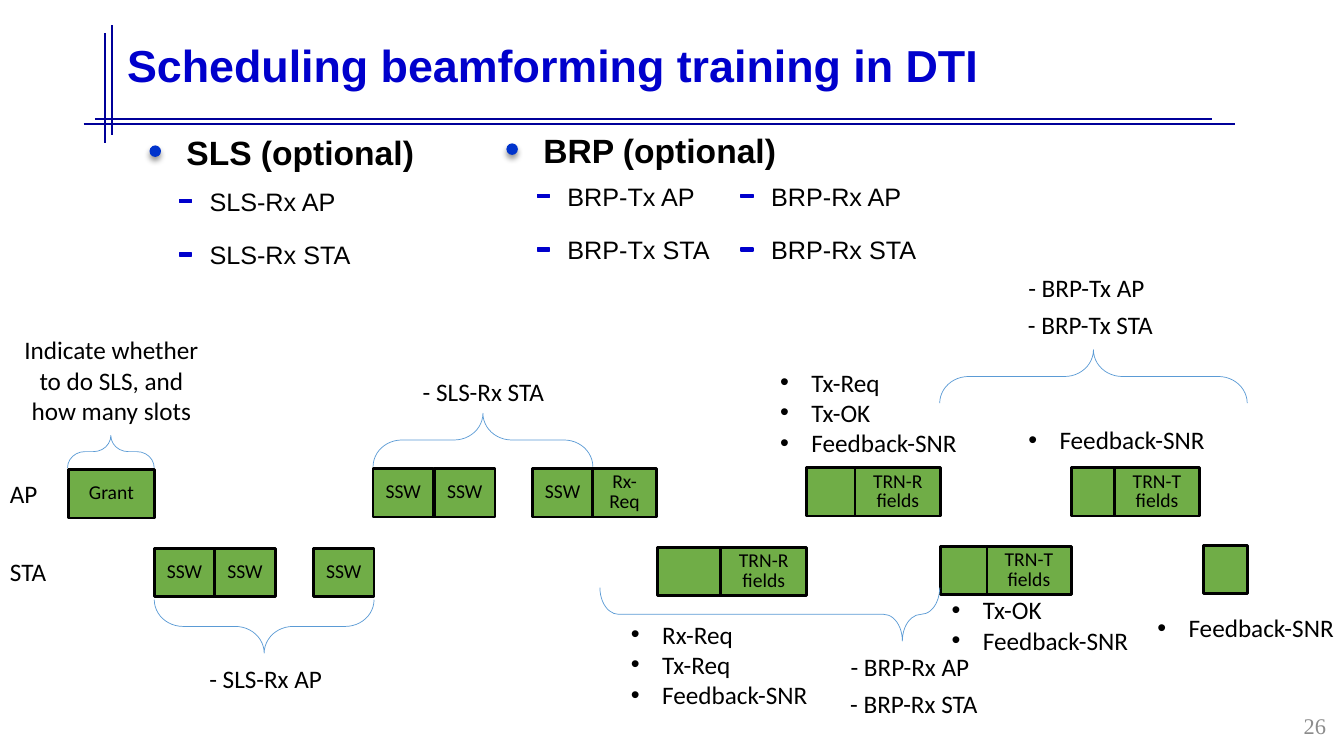
from lxml import etree
from pptx import Presentation
from pptx.dml.color import RGBColor
from pptx.enum.shapes import MSO_CONNECTOR as CONN, MSO_SHAPE as SHAPE
from pptx.enum.text import MSO_ANCHOR as ANCHOR, MSO_AUTO_SIZE as FIT, PP_ALIGN as ALIGN
from pptx.oxml.ns import qn
from pptx.util import Inches, Pt

COLORS = {"rule": "000099", "title": "0000CC", "dot": "0033CC", "text": "000000",
          "slot": "70AD47", "brace": "5B9BD5", "number": "8C8C8C"}
SLOT_H = 0.48
LINE_H = 0.4


def rgb(name):
    return RGBColor.from_string(COLORS[name])


def write(sp, text, size, font="Calibri", color="text", bold=False, align=None, spacing=None):
    tf = sp.text_frame
    for i, line in enumerate(text if isinstance(text, list) else [text]):
        p = tf.paragraphs[0] if i == 0 else tf.add_paragraph()
        p.text = line
        p.alignment = align
        p.line_spacing = spacing
        for r in p.runs:
            r.font.name, r.font.size, r.font.bold = font, Pt(size), bold
            r.font.color.rgb = rgb(color)
    return tf


def add_text(s, text, x, y, w, h, size=18, wrap=True, **style):
    sp = s.shapes.add_textbox(Inches(x), Inches(y), Inches(w), Inches(h))
    tf = write(sp, text, size, **style)
    tf.word_wrap = wrap
    tf.auto_size = FIT.SHAPE_TO_FIT_TEXT
    return tf


def add_box(s, kind, x, y, w, h, fill, line, width):
    sp = s.shapes.add_shape(kind, Inches(x), Inches(y), Inches(w), Inches(h))
    sp.shadow.inherit = False
    if fill:
        sp.fill.solid()
        sp.fill.fore_color.rgb = rgb(fill)
    else:
        sp.fill.background()
    sp.line.color.rgb = rgb(line)
    sp.line.width = Pt(width)
    return sp


def add_rule(s, x1, y1, x2, y2):
    c = s.shapes.add_connector(CONN.STRAIGHT, Inches(x1), Inches(y1), Inches(x2), Inches(y2))
    c.line.color.rgb = rgb("rule")
    c.line.width = Pt(1.75)
    etree.SubElement(c._element.spPr, qn("a:effectLst"))


def add_header(s, text, x, y, w, h):
    for rule in [(0.94, 1.18, 12.02, 1.18), (0.83, 1.23, 12.25, 1.23),
                 (1.04, 0.33, 1.04, 1.42), (1.11, 0.25, 1.11, 1.34)]:
        add_rule(s, *rule)
    title = s.shapes.title
    title.left, title.top, title.width, title.height = map(Inches, (x, y, w, h))
    tf = write(title, text, 32, "Arial", "title", True, ALIGN.LEFT, 0.9)
    tf.vertical_anchor = ANCHOR.MIDDLE
    tf.auto_size = FIT.NONE


def add_heading(s, text, x, y, w):
    dot = add_box(s, SHAPE.OVAL, x, y + 0.19, 0.1, 0.1, "dot", "dot", 1)
    effects = dot._element.spPr.find(qn("a:effectLst"))
    shadow = etree.SubElement(effects, qn("a:outerShdw"), blurRad=str(Pt(4)),
                              dist=str(Pt(3)), dir="5400000", rotWithShape="0")
    color = etree.SubElement(shadow, qn("a:srgbClr"), val=COLORS["text"])
    etree.SubElement(color, qn("a:alpha"), val="40000")
    add_text(s, text, x + 0.26, y, w, 0.5, 24, font="Arial", bold=True)


def add_dashes(s, items, x, y, w):
    for i, item in enumerate(items):
        top = y + i * 0.53
        add_box(s, SHAPE.RECTANGLE, x, top + 0.18, 0.12, 0.03, "title", "title", 1)
        add_text(s, item, x + 0.2, top, w, LINE_H, font="Arial")


def add_slots(s, y, slots):
    for x, w, label in slots:
        sp = add_box(s, SHAPE.RECTANGLE, x, y, w, SLOT_H, "slot", "text", 2)
        if label:
            write(sp, label, 14, align=ALIGN.CENTER, spacing=Pt(14))
            sp.text_frame.vertical_anchor = ANCHOR.MIDDLE


def add_brace(s, x, y, length, depth, rotation, point=0.5):
    left = x + (length - depth) / 2
    top = y + (depth - length) / 2
    sp = add_box(s, SHAPE.RIGHT_BRACE, left, top, depth, length, None, "brace", 0.5)
    sp.adjustments[0], sp.adjustments[1] = 0.54, point
    sp.rotation = rotation


def add_bullets(s, items, x, y, w):
    tf = add_text(s, items, x, y, w, 0.1 + 0.3 * len(items), wrap=False)
    for p in tf.paragraphs:
        pPr = p._p.get_or_add_pPr()
        pPr.set("marL", str(Inches(0.31)))
        pPr.set("indent", str(-Inches(0.31)))
        etree.SubElement(pPr, qn("a:buFont"), typeface="Arial")
        etree.SubElement(pPr, qn("a:buChar"), char="•")


def add_timeline(s):
    add_text(s, "AP", 0, 4.7, 0.48, LINE_H, wrap=False)
    add_text(s, "STA", 0, 5.47, 0.56, LINE_H, wrap=False)
    add_slots(s, 4.66, [(0.68, 0.85, "Grant")])
    add_slots(s, 4.65, [(x, 0.6, "SSW") for x in (3.7, 4.31, 5.28)] + [(5.88, 0.63, "Rx-Req")])
    add_slots(s, 4.64, [(8, 0.48, ""), (8.48, 0.85, "TRN-R\nfields"),
                        (11.05, 0.85, "TRN-T\nfields"), (10.63, 0.42, "")])
    add_slots(s, 5.44, [(x, 0.6, "SSW") for x in (1.53, 2.13, 3.11)])
    add_slots(s, 5.43, [(6.52, 0.63, ""), (7.15, 0.85, "TRN-R\nfields")])
    add_slots(s, 5.42, [(9.78, 0.85, "TRN-T\nfields"), (9.33, 0.46, "")])
    add_slots(s, 5.41, [(11.94, 0.43, "")])


def add_notes_around(s):
    for brace in [(0.67, 4.32, 0.86, 0.32, 270), (1.53, 5.95, 2.18, 0.53, 90),
                  (3.7, 4.1, 2.18, 0.53, 270), (9.32, 3.47, 3.05, 0.53, 270),
                  (5.95, 5.83, 3.37, 0.53, 90, 0.11)]:
        add_brace(s, *brace)
    add_text(s, "Indicate whether to do SLS, and how many slots", 0.07, 3.27, 2.07, 1.01,
             align=ALIGN.CENTER)
    for label, x, y in [("- SLS-Rx AP", 1.6, 6.53), ("- SLS-Rx STA", 3.76, 3.68),
                        ("- BRP-Tx AP", 9.74, 2.65), ("- BRP-Tx STA", 9.78, 3.02),
                        ("- BRP-Rx AP", 7.99, 6.41), ("- BRP-Rx STA", 8.03, 6.78)]:
        add_text(s, label, x, y, 2.07, LINE_H, align=ALIGN.CENTER)
    for items, x, y in [(["Feedback-SNR"], 10.1, 4.16), (["Feedback-SNR"], 11.38, 6.03),
                        (["Tx-Req", "Tx-OK", "Feedback-SNR"], 7.64, 3.59),
                        (["Rx-Req", "Tx-Req", "Feedback-SNR"], 6.16, 6.09),
                        (["Tx-OK", "Feedback-SNR"], 9.34, 5.85)]:
        add_bullets(s, items, x, y, 1.98)


def main():
    prs = Presentation()
    prs.slide_width, prs.slide_height = Inches(13.33), Inches(7.5)
    s = prs.slides.add_slide(prs.slide_layouts[5])
    add_header(s, "Scheduling beamforming training in DTI", 1.16, 0.05, 12.99, 1.25)
    add_heading(s, "SLS (optional)", 1.49, 1.26, 8.65)
    add_heading(s, "BRP (optional)", 5.03, 1.24, 6.46)
    add_dashes(s, ["SLS-Rx AP", "SLS-Rx STA"], 1.78, 1.8, 2.3)
    add_dashes(s, ["BRP-Tx AP", "BRP-Tx STA"], 5.33, 1.75, 2)
    add_dashes(s, ["BRP-Rx AP", "BRP-Rx STA"], 7.35, 1.75, 2)
    add_timeline(s)
    add_notes_around(s)
    add_text(s, "26", 12.65, 7.02, 0.6, 0.36, 16, font="Times New Roman", color="number",
             align=ALIGN.RIGHT)
    prs.save("out.pptx")


if __name__ == "__main__":
    main()
